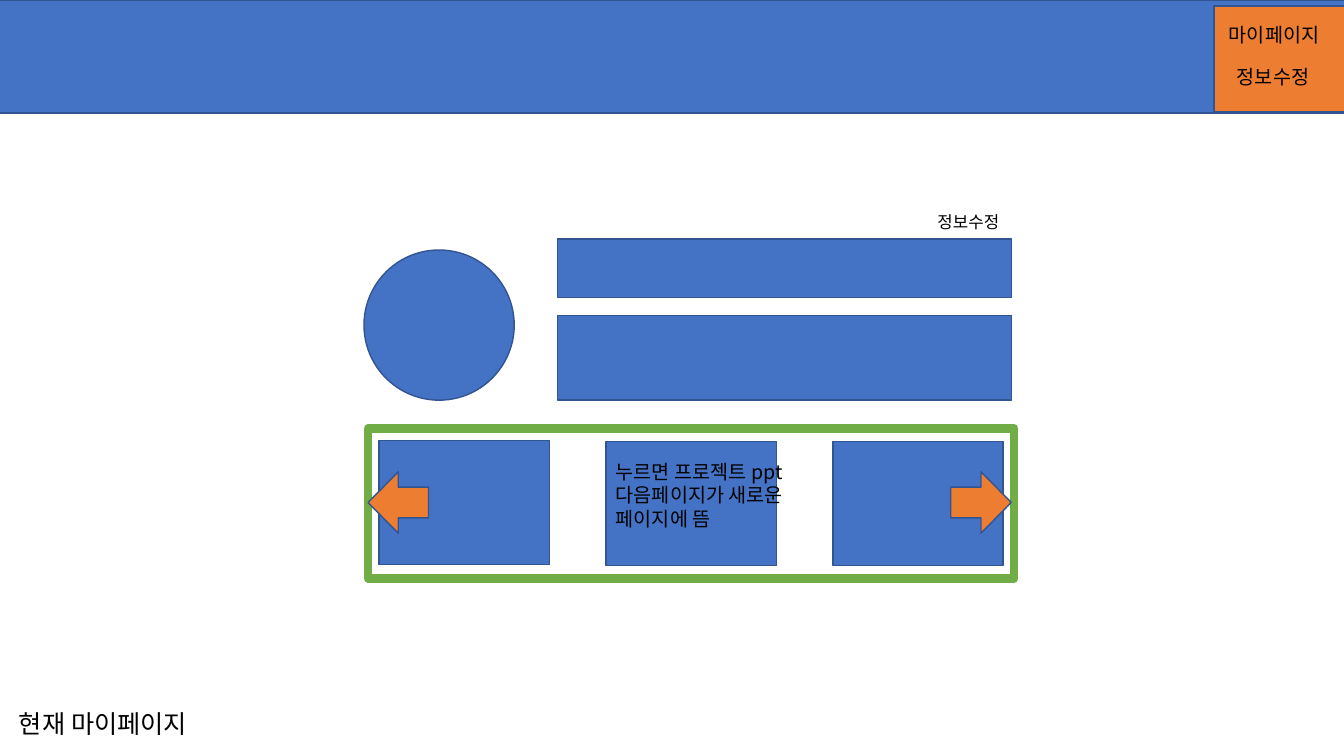
from pptx import Presentation
from pptx.dml.color import RGBColor
from pptx.enum.shapes import MSO_SHAPE
from pptx.util import Inches, Pt
from lxml import etree

RECT, OVAL, ARROW = MSO_SHAPE.RECTANGLE, MSO_SHAPE.OVAL, MSO_SHAPE.RIGHT_ARROW
BLUE, EDGE, GREEN, ORANGE, BLACK = "4472C4", "325491", "70AD47", "ED7D31", "000000"
FONT = "Noto Sans CJK KR"
WIDE, HIGH = 13.33, 7.5

# Content: words, size, left, top, width, height
NOTES = [
    ("현재 마이페이지", 18, 0.09, 6.98, 2.17, 0.4),
    ("정보수정", 12, 9.2, 2.05, 0.97, 0.3),
    ("누르면 프로젝트 ppt다음페이지가 새로운 페이지에 뜸", 14, 6.01, 4.51, 1.87, 1.04),
    ("마이페이지", 14, 12.09, 0.18, 1.28, 0.34),
    ("정보수정", 14, 12.17, 0.59, 1.2, 0.34),
]

# Profile fields (top, height), project cards (tops) and arrows (left, turn)
FIELDS = [(2.37, 0.58), (3.13, 0.84)]
CARDS = [4.37, 4.38, 4.38]
CARD_X, CARD_STEP = 3.76, 2.25
ARROWS = [(9.43, 0), (3.65, 180)]

deck = Presentation()
deck.slide_width, deck.slide_height = Inches(WIDE), Inches(HIGH)
slide = deck.slides.add_slide(deck.slide_layouts[6])


def color(code):
    return RGBColor.from_string(code)


def draw(kind, x, y, w, h, fill=BLUE, edge=EDGE, width=1):
    item = slide.shapes.add_shape(kind, Inches(x), Inches(y), Inches(w), Inches(h))
    item.shadow.inherit = False
    if fill:
        item.fill.solid()
        item.fill.fore_color.rgb = color(fill)
    else:
        item.fill.background()
    item.line.color.rgb = color(edge)
    item.line.width = Pt(width)
    return item


def write(words, size, x, y, w, h):
    box = slide.shapes.add_textbox(Inches(x), Inches(y), Inches(w), Inches(h))
    frame = box.text_frame
    frame.word_wrap = True
    frame.text = words
    for run in frame.paragraphs[0].runs:
        font = run.font
        font.size, font.name = Pt(size), FONT
        font.color.rgb = color(BLACK)
        # Korean glyphs take the East Asian font
        props = run._r.get_or_add_rPr()
        space = etree.QName(props).namespace
        etree.SubElement(props, f"{{{space}}}ea", typeface=FONT)


# Header with its menu
draw(RECT, -0.14, 0, 13.61, 1.12)
draw(RECT, 12.04, 0.06, 1.32, 1.05, ORANGE)

# Profile
draw(OVAL, 3.61, 2.48, 1.49, 1.49)
for top, high in FIELDS:
    draw(RECT, 5.53, top, 4.5, high)

# Project carousel
for col, top in enumerate(CARDS):
    draw(RECT, CARD_X + col * CARD_STEP, top, 1.69, 1.23)
draw(RECT, 3.65, 4.25, 6.41, 1.49, None, GREEN, 6)
for left, turn in ARROWS:
    draw(ARROW, left, 4.68, 0.6, 0.61, ORANGE).rotation = turn

# Labels
for note in NOTES:
    write(*note)

deck.save("out.pptx")
